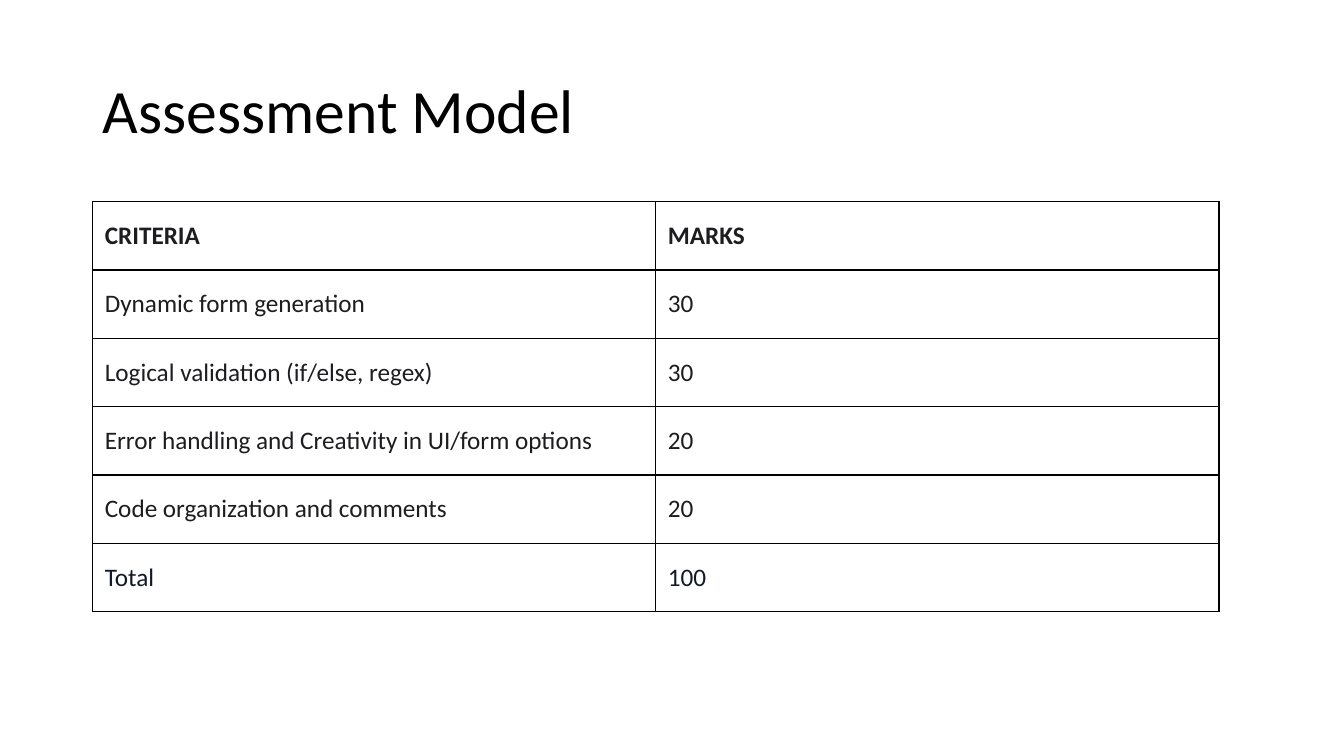
from dataclasses import dataclass

from lxml import etree
from pptx import Presentation
from pptx.dml.color import RGBColor
from pptx.enum.text import MSO_ANCHOR, PP_ALIGN
from pptx.oxml.ns import qn
from pptx.util import Inches, Pt

LEFT = PP_ALIGN.LEFT
MIDDLE = MSO_ANCHOR.MIDDLE
TITLE_ONLY_LAYOUT = 5


@dataclass(frozen=True)
class Theme:
    """Colours, font and type sizes of the slide."""
    font: str = "Calibri"
    title_color: str = "000000"
    body_color: str = "1D1D20"
    total_color: str = "111827"
    cell_fill: str = "FFFFFF"
    border_color: str = "000000"
    title_size: int = 44
    body_size: int = 18
    border_width: int = 1


THEME = Theme()
TITLE = "Assessment Model"
ASSESSMENT_ROWS = [
    ("CRITERIA", "MARKS"),
    ("Dynamic form generation", "30"),
    ("Logical validation (if/else, regex)", "30"),
    ("Error handling and Creativity in UI/form options", "20"),
    ("Code organization and comments", "20"),
    ("Total", "100"),
]


def set_attributes(target, values):
    """Set every attribute named in a dict of values."""
    for name, value in values.items():
        setattr(target, name, value)


def write_text(text_frame, text, size, color, bold=False):
    """Write one left-aligned paragraph in the theme font."""
    paragraph = text_frame.paragraphs[0]
    paragraph.alignment = LEFT
    run = paragraph.add_run()
    run.text = text
    set_attributes(run.font, {"name": THEME.font, "size": Pt(size), "bold": bold})
    run.font.color.rgb = RGBColor.from_string(color)


def add_title(slide, text):
    """Place and format the title placeholder."""
    title = slide.shapes.title
    set_attributes(title, {"left": Inches(0.92), "top": Inches(0.4),
                           "width": Inches(11.5), "height": Inches(1.45)})
    title.text_frame.vertical_anchor = MIDDLE
    write_text(title.text_frame, text, THEME.title_size, THEME.title_color)
    title.text_frame.paragraphs[0].line_spacing = 0.9


def add_borders(cell):
    """Draw a solid line on all four sides of a cell."""
    properties = cell._tc.get_or_add_tcPr()
    for index, side in enumerate(("a:lnL", "a:lnR", "a:lnT", "a:lnB")):
        line = etree.Element(qn(side), w=str(Pt(THEME.border_width)))
        fill = etree.SubElement(line, qn("a:solidFill"))
        etree.SubElement(fill, qn("a:srgbClr"), val=THEME.border_color)
        properties.insert(index, line)


def format_cell(cell, text, color, bold):
    """Fill, frame and write one table cell."""
    margin = Inches(0.12)
    set_attributes(cell, {"margin_left": margin, "margin_right": margin,
                          "margin_top": margin, "margin_bottom": margin,
                          "vertical_anchor": MIDDLE})
    cell.fill.solid()
    cell.fill.fore_color.rgb = RGBColor.from_string(THEME.cell_fill)
    add_borders(cell)
    write_text(cell.text_frame, text, THEME.body_size, color, bold)


def add_marks_table(slide, rows):
    """Add the table with a bold header and a closing total."""
    last = len(rows) - 1
    table = slide.shapes.add_table(len(rows), len(rows[0]), Inches(0.92), Inches(2),
                                   Inches(11.17), Inches(4.07)).table
    for row_index, texts in enumerate(rows):
        color = THEME.total_color if row_index == last else THEME.body_color
        for column_index, text in enumerate(texts):
            format_cell(table.cell(row_index, column_index), text, color,
                        bold=row_index == 0)


def main():
    """Build and save the assessment slide."""
    presentation = Presentation()
    set_attributes(presentation, {"slide_width": Inches(13.33),
                                  "slide_height": Inches(7.5)})
    slide = presentation.slides.add_slide(presentation.slide_layouts[TITLE_ONLY_LAYOUT])
    add_title(slide, TITLE)
    add_marks_table(slide, ASSESSMENT_ROWS)
    presentation.save("out.pptx")


if __name__ == "__main__":
    main()
